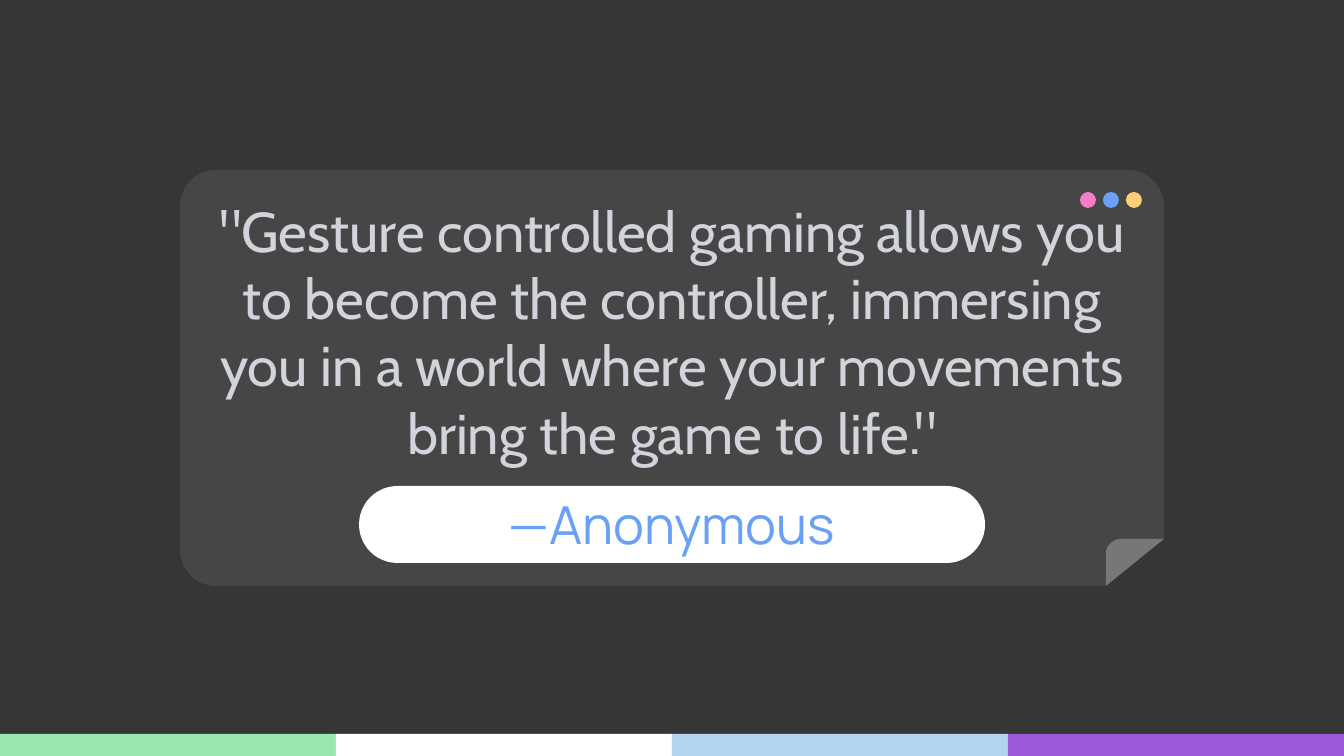
import math

import pptx
import pptx.dml.color
import pptx.enum.shapes
import pptx.enum.text
import pptx.util

EMU_PER_PX = 914400 / 134.4
KIND = pptx.enum.shapes.MSO_SHAPE
BACKGROUND = "363636"
QUOTE = (
    '"Gesture controlled gaming allows you to become the controller, '
    'immersing you in a world where your movements bring the game to life."'
)


def px(length):
    return pptx.util.Emu(round(length * EMU_PER_PX))


def paint(target, color):
    target.solid()
    target.fore_color.rgb = pptx.dml.color.RGBColor.from_string(color)


def finish(shape, color):
    shape.shadow.inherit = False
    paint(shape.fill, color)
    shape.line.fill.background()
    return shape


def add_block(slide, kind, box, color, radius=None):
    shape = slide.shapes.add_shape(kind, *map(px, box))
    if radius is not None:
        shape.adjustments[0] = radius
    return finish(shape, color)


def add_fold(slide, left, top, right, bottom, radius, color):
    arc = [
        (left + radius * (1 - math.cos(angle)), top + radius * (1 - math.sin(angle)))
        for angle in (math.radians(step) for step in range(0, 91, 10))
    ]
    outline = slide.shapes.build_freeform(left, bottom, scale=EMU_PER_PX)
    outline.add_line_segments(arc + [(right, top)], close=True)
    finish(outline.convert_to_shape(), color)


def write(holder, text, *, box, font, size, color):
    holder.left, holder.top, holder.width, holder.height = map(px, box)
    frame = holder.text_frame
    frame.word_wrap = True
    frame.auto_size = pptx.enum.text.MSO_AUTO_SIZE.NONE
    frame.vertical_anchor = pptx.enum.text.MSO_ANCHOR.MIDDLE
    frame.margin_left = frame.margin_right = px(13)
    frame.margin_top = frame.margin_bottom = px(13)
    paragraph = frame.paragraphs[0]
    paragraph.alignment = pptx.enum.text.PP_ALIGN.CENTER
    run = paragraph.add_run()
    run.text = text
    run.font.name = font
    run.font.size = pptx.util.Pt(size)
    paint(run.font.fill, color)


def add_footer(slide):
    for index, color in enumerate(("9AE6AE", "FFFFFF", "B3D5F2", "9D59DB")):
        add_block(slide, KIND.RECTANGLE, (336 * index, 734, 336, 22), color)


def add_card(slide):
    add_block(slide, KIND.ROUNDED_RECTANGLE, (180, 170, 984, 416), "464646", 0.087)
    for index, color in enumerate(("F57DC6", "6AA1F7", "FCCF78")):
        add_block(slide, KIND.OVAL, (1080 + 23 * index, 192, 16, 16), color)
    corner = add_block(slide, KIND.RIGHT_TRIANGLE, (1106, 540, 58, 46), BACKGROUND)
    corner._element.spPr.xfrm.set("flipH", "1")
    paint(corner.line.fill, BACKGROUND)
    corner.line.width = pptx.util.Pt(0.75)
    add_fold(slide, 1106, 539, 1164, 586, 15, "777777")


def main():
    deck = pptx.Presentation()
    deck.slide_width, deck.slide_height = px(1344), px(756)
    slide = deck.slides.add_slide(deck.slide_layouts[5])
    paint(slide.background.fill, BACKGROUND)
    add_footer(slide)
    add_card(slide)
    add_block(slide, KIND.ROUNDED_RECTANGLE, (359, 486, 626, 77), "FFFFFF", 0.5)
    write(slide.shapes.add_textbox(0, 0, 0, 0), QUOTE, box=(180, 222, 984, 218),
          font="Cabin", size=30, color="D1D5DB")
    author = slide.shapes.title
    slide.shapes._spTree.append(author._element)
    write(author, "—Anonymous", box=(385, 485, 574, 78),
          font="Manrope", size=28, color="6AA1F7")
    deck.save("out.pptx")


if __name__ == "__main__":
    main()
